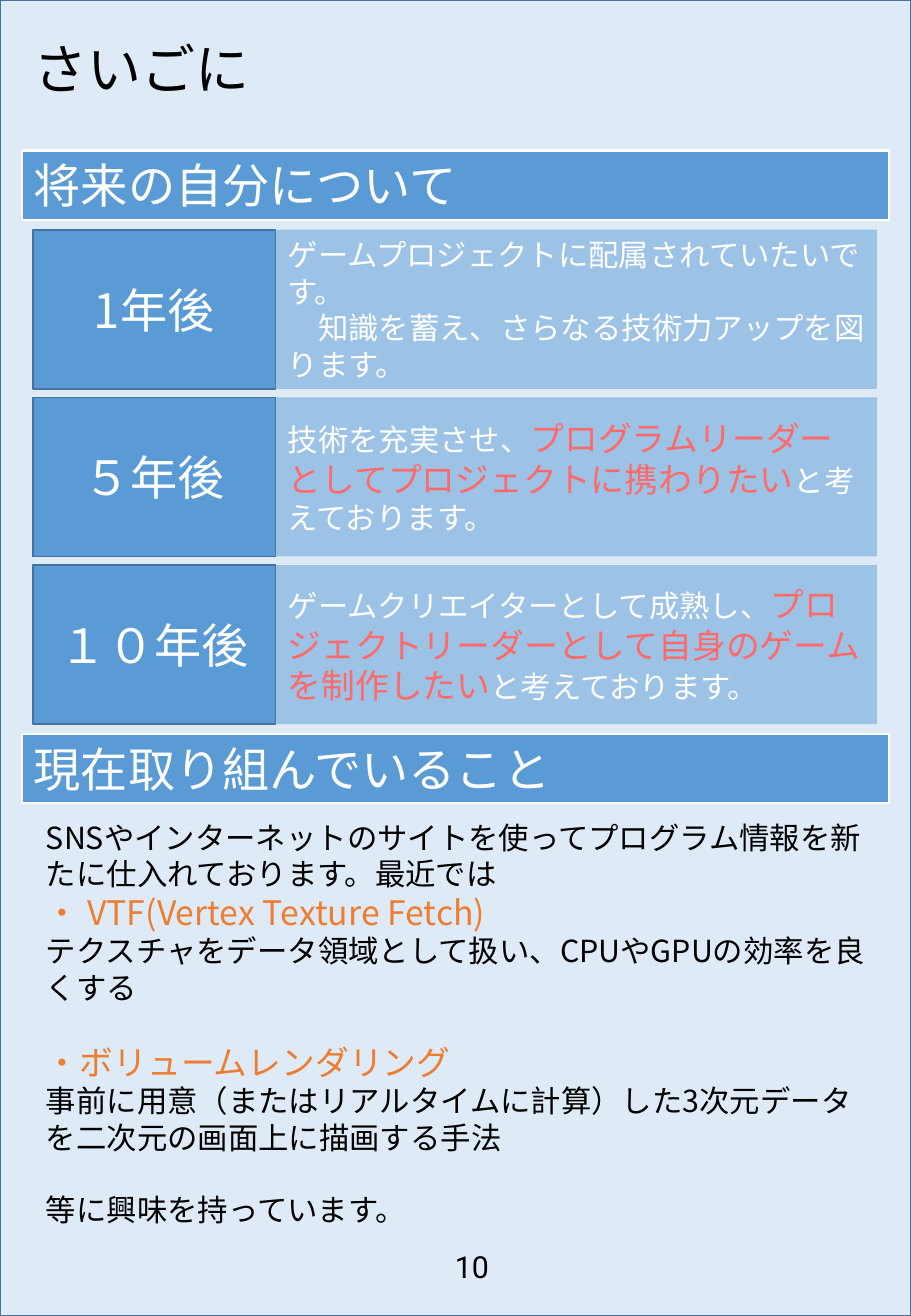
from lxml.etree import SubElement
from pptx import Presentation
from pptx.dml.color import RGBColor
from pptx.enum.shapes import MSO_SHAPE
from pptx.enum.text import MSO_ANCHOR, MSO_AUTO_SIZE, PP_ALIGN
from pptx.oxml.ns import qn
from pptx.util import Inches, Pt

BLACK = RGBColor(0x00, 0x00, 0x00)
WHITE = RGBColor(0xFF, 0xFF, 0xFF)
PALE_BLUE = RGBColor(0xDE, 0xEB, 0xF7)
BLUE = RGBColor(0x5B, 0x9B, 0xD5)
DARK_BLUE = RGBColor(0x43, 0x73, 0x9E)
CORAL = RGBColor(0xFF, 0x69, 0x69)
ORANGE = RGBColor(0xED, 0x7D, 0x31)

JAPANESE = "Noto Sans CJK JP"
WIDTH, HEIGHT = 7.5, 10.83

# Each goal: label, then paragraphs made of (text, highlighted) spans
GOALS = [
    ("1年後", [
        [("ゲームプロジェクトに配属されていたいです。", False)],
        [("\u3000知識を蓄え、さらなる技術力アップを図ります。".replace("\u3000", "　"), False)],
    ]),
    ("５年後", [[
        ("技術を充実させ、", False),
        ("プログラムリーダーとしてプロジェクトに携わりたい", True),
        ("と考えております。", False),
    ]]),
    ("１０年後", [[
        ("ゲームクリエイターとして成熟し、", False),
        ("プロジェクトリーダーとして自身のゲームを制作したい", True),
        ("と考えております。", False),
    ]]),
]
GOALS[0][1][1][0] = ("　知識を蓄え、さらなる技術力アップを図ります。", False)

# Each paragraph: text, is a topic, follows a gap
ACTIVITIES = [
    ("SNSやインターネットのサイトを使ってプログラム情報を新たに仕入れております。最近では", False, False),
    ("・ VTF(Vertex Texture Fetch)", True, False),
    ("テクスチャをデータ領域として扱い、CPUやGPUの効率を良くする", False, False),
    ("・ボリュームレンダリング", True, True),
    ("事前に用意（またはリアルタイムに計算）した3次元データを二次元の画面上に描画する手法", False, False),
    ("等に興味を持っています。", False, True),
]


class PageBuilder:
    def __init__(self, page):
        self.page = page

    def style(self, font, size, color, name=JAPANESE):
        font.size = Pt(size)
        font.color.rgb = color
        font.name = name
        latin = font._element.find(qn("a:latin"))
        east_asian = latin.makeelement(qn("a:ea"), {"typeface": name})
        latin.addnext(east_asian)

    def paragraph(self, frame, index, spans, size, color, align=PP_ALIGN.LEFT, name=JAPANESE):
        para = frame.paragraphs[0] if index == 0 else frame.add_paragraph()
        para.alignment = align
        self.style(para.font, size, color, name)
        for text, highlighted in spans:
            span = para.add_run()
            span.text = text
            if highlighted:
                self.style(span.font, 20, CORAL)
        return para

    def rectangle(self, left, top, width, height, fill, line=None, line_width=1, alpha=None):
        box = self.page.shapes.add_shape(
            MSO_SHAPE.RECTANGLE, Inches(left), Inches(top), Inches(width), Inches(height))
        box.shadow.inherit = False
        box.fill.solid()
        box.fill.fore_color.rgb = fill
        if alpha is not None:
            color = box._element.spPr.find(qn("a:solidFill")).find(qn("a:srgbClr"))
            SubElement(color, qn("a:alpha"), val=str(alpha * 1000))
        if line is None:
            box.line.fill.background()
        else:
            box.line.color.rgb = line
            box.line.width = Pt(line_width)
        box.text_frame.word_wrap = True
        box.text_frame.vertical_anchor = MSO_ANCHOR.MIDDLE
        return box

    def text_box(self, left, top, width, height):
        box = self.page.shapes.add_textbox(
            Inches(left), Inches(top), Inches(width), Inches(height))
        box.text_frame.word_wrap = True
        box.text_frame.auto_size = MSO_AUTO_SIZE.SHAPE_TO_FIT_TEXT
        return box.text_frame

    def heading(self, top, text):
        frame = self.rectangle(0.18, top, 7.14, 0.57, BLUE, WHITE, 1.5).text_frame
        frame.vertical_anchor = MSO_ANCHOR.TOP
        frame.auto_size = MSO_AUTO_SIZE.SHAPE_TO_FIT_TEXT
        self.paragraph(frame, 0, [(text, False)], 28, WHITE)

    def goal(self, top, label, paragraphs):
        label_box = self.rectangle(0.27, top, 2, 1.31, BLUE, DARK_BLUE)
        self.paragraph(label_box.text_frame, 0, [(label, False)], 28, WHITE, PP_ALIGN.CENTER)
        goal_box = self.rectangle(2.27, top, 4.95, 1.31, BLUE, alpha=50)
        for index, spans in enumerate(paragraphs):
            self.paragraph(goal_box.text_frame, index, spans, 18, WHITE)

    def activities(self, items):
        frame = self.text_box(0.28, 6.69, 6.95, 3.53)
        for index, (text, is_topic, after_gap) in enumerate(items):
            size, color = (20, ORANGE) if is_topic else (18, BLACK)
            para = self.paragraph(frame, index, [(text, False)], size, color)
            if after_gap:
                para.space_before = Pt(21.6)


def main():
    deck = Presentation()
    deck.slide_width, deck.slide_height = Inches(WIDTH), Inches(HEIGHT)
    builder = PageBuilder(deck.slides.add_slide(deck.slide_layouts[6]))

    # Background, title and page number
    builder.rectangle(0, 0, WIDTH, HEIGHT, PALE_BLUE, DARK_BLUE)
    builder.paragraph(builder.text_box(0.18, 0.24, 7.14, 0.64), 0, [("さいごに", False)], 32, BLACK)
    builder.paragraph(builder.text_box(3.57, 10.22, 0.63, 0.4), 0, [("10", False)], 18, BLACK,
                      PP_ALIGN.CENTER, "Roboto")

    # Future goals
    builder.heading(1.24, "将来の自分について")
    for row, (label, paragraphs) in enumerate(GOALS):
        builder.goal(1.89 + row * 1.38, label, paragraphs)

    # Current activities
    builder.heading(6.04, "現在取り組んでいること")
    builder.activities(ACTIVITIES)

    deck.save("out.pptx")


if __name__ == "__main__":
    main()
